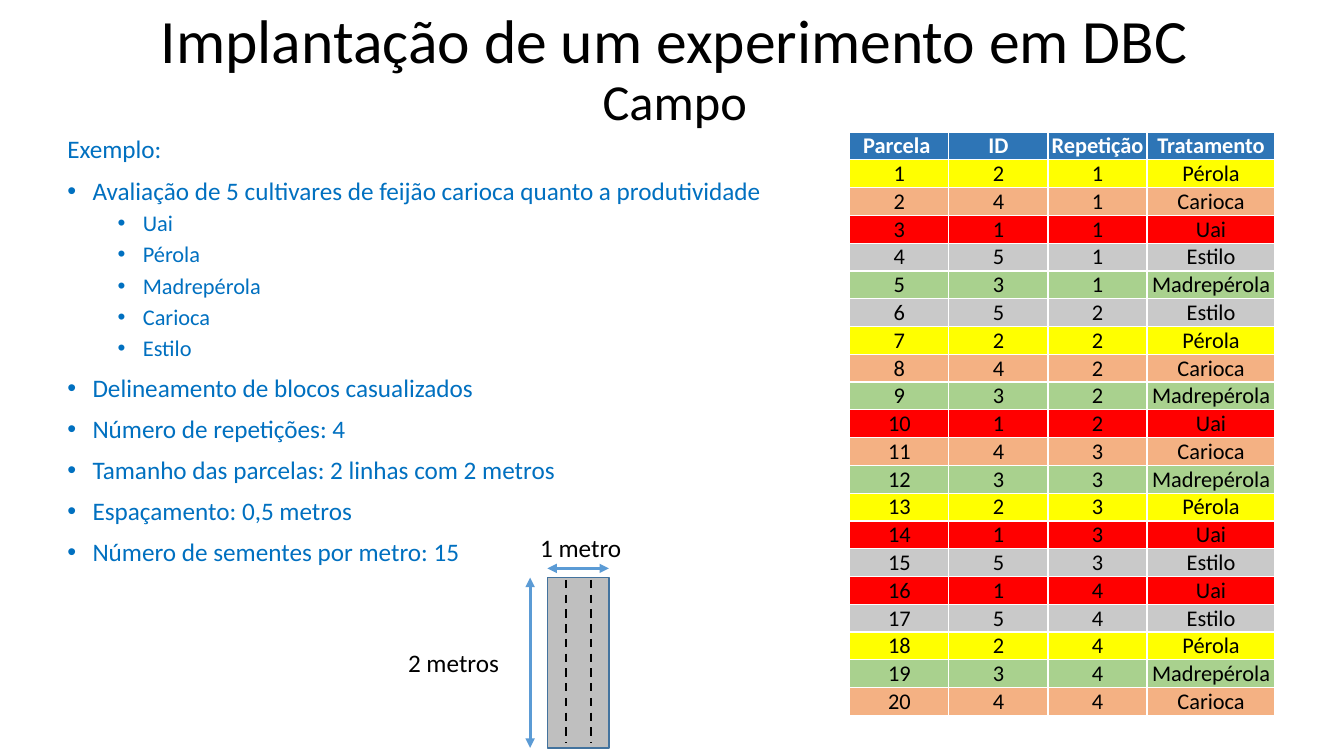
from lxml.etree import SubElement
from pptx import Presentation
from pptx.dml.color import RGBColor
from pptx.enum.dml import MSO_LINE
from pptx.enum.shapes import MSO_CONNECTOR, MSO_SHAPE
from pptx.enum.text import MSO_ANCHOR, MSO_AUTO_SIZE, PP_ALIGN
from pptx.oxml.ns import qn
from pptx.util import Pt

FONT = "Calibri"
COLORS = {
    "text": "000000", "body": "0070C0", "header": "2E75B6", "white": "FFFFFF",
    "plot": "BFBFBF", "plot_line": "43739E", "arrow": "5B9BD5",
}
CULTIVARS = {
    "Uai": "FF0000", "Pérola": "FFFF00", "Madrepérola": "A9D18E",
    "Carioca": "F4B183", "Estilo": "C9C9C9",
}
# Cultivar IDs in field order, one list for each block
BLOCKS = [[2, 4, 1, 5, 3], [5, 2, 4, 3, 1], [4, 3, 2, 1, 5], [1, 5, 2, 3, 4]]
HEADERS = ["Parcela ", "ID", "Repetição", "Tratamento"]
COLUMN_WIDTHS = [70.8, 70.8, 70.8, 91.4]
ROW_HEIGHT = 19.85

# Text and level; None means no bullet
BODY = [
    ("Exemplo:", None),
    ("Avaliação de 5 cultivares de feijão carioca quanto a produtividade", 0),
    *((name, 1) for name in CULTIVARS),
    ("Delineamento de blocos casualizados", 0),
    ("Número de repetições: 4", 0),
    ("Tamanho das parcelas: 2 linhas com 2 metros", 0),
    ("Espaçamento: 0,5 metros", 0),
    ("Número de sementes por metro: 15", 0),
]

PLOT_X, PLOT_Y, PLOT_W, PLOT_H = 391, 412.6, 44, 121.6


def rgb(value):
    return RGBColor.from_string(value)


def set_attrs(obj, **values):
    for name, value in values.items():
        setattr(obj, name, value)


def add_run(p, text, size, color, bold=False):
    r = p.add_run()
    r.text = text
    set_attrs(r.font, name=FONT, size=Pt(size), bold=bold)
    r.font.color.rgb = rgb(color)


def add_title(slide):
    sp = slide.shapes.title
    set_attrs(sp, left=Pt(68), top=Pt(-1.4), width=Pt(828), height=Pt(104.4))
    tf = sp.text_frame
    set_attrs(tf, word_wrap=True, auto_size=MSO_AUTO_SIZE.NONE,
              vertical_anchor=MSO_ANCHOR.MIDDLE)
    p = tf.paragraphs[0]
    set_attrs(p, alignment=PP_ALIGN.CENTER, line_spacing=0.9)
    add_run(p, "Implantação de um experimento em DBC", 44, COLORS["text"])
    p.add_line_break()
    add_run(p, "Campo", 36, COLORS["text"])


def add_bullet(p, level):
    p.level = level
    pPr = p._p.get_or_add_pPr()
    pPr.set("marL", str(Pt(18 + 36 * level)))
    pPr.set("indent", str(Pt(-18)))
    SubElement(pPr, qn("a:buFont"), typeface="Arial")
    SubElement(pPr, qn("a:buChar"), char="•")


def add_body(slide):
    tf = slide.shapes.add_textbox(Pt(41), Pt(94.3), Pt(519), Pt(445.7)).text_frame
    tf.word_wrap = True
    for i, (text, level) in enumerate(BODY):
        p = tf.paragraphs[0] if i == 0 else tf.add_paragraph()
        set_attrs(p, alignment=PP_ALIGN.JUSTIFY, line_spacing=0.9)
        if i:
            p.space_before = Pt(5 if level else 10)
        if level is not None:
            add_bullet(p, level)
        add_run(p, text, 16 if level else 18, COLORS["body"])


def add_label(slide, text, x, y, w):
    tf = slide.shapes.add_textbox(Pt(x), Pt(y), Pt(w), Pt(29)).text_frame
    set_attrs(tf, word_wrap=False, auto_size=MSO_AUTO_SIZE.SHAPE_TO_FIT_TEXT)
    add_run(tf.paragraphs[0], text, 18, COLORS["text"])


def add_line(slide, x1, y1, x2, y2, color, width):
    line = slide.shapes.add_connector(
        MSO_CONNECTOR.STRAIGHT, Pt(x1), Pt(y1), Pt(x2), Pt(y2))
    line.line.color.rgb = rgb(color)
    line.line.width = Pt(width)
    SubElement(line._element.spPr, qn("a:effectLst"))
    return line


def add_double_arrow(slide, x1, y1, x2, y2):
    line = add_line(slide, x1, y1, x2, y2, COLORS["arrow"], 2.25)
    ln = line.line._get_or_add_ln()
    for end in ("a:headEnd", "a:tailEnd"):
        SubElement(ln, qn(end), type="triangle")


def add_plot(slide):
    """Draw one field plot with its two rows and its dimensions."""
    sp = slide.shapes.add_shape(
        MSO_SHAPE.RECTANGLE, Pt(PLOT_X), Pt(PLOT_Y), Pt(PLOT_W), Pt(PLOT_H))
    sp.shadow.inherit = False
    sp.fill.solid()
    sp.fill.fore_color.rgb = rgb(COLORS["plot"])
    sp.line.color.rgb = rgb(COLORS["plot_line"])
    sp.line.width = Pt(1)
    for x in (404, 422):
        row = add_line(slide, x, 414.3, x, 530.3, COLORS["text"], 1.5)
        row.line.dash_style = MSO_LINE.DASH
    add_double_arrow(slide, 378.7, PLOT_Y, 378.7, PLOT_Y + PLOT_H)
    add_double_arrow(slide, PLOT_X, 406, PLOT_X + PLOT_W, 406)
    add_label(slide, "2 metros", 284.4, 458.6, 80)
    add_label(slide, "1 metro", 378.7, 376.6, 73.4)


def add_borders(cell):
    tcPr = cell._tc.get_or_add_tcPr()
    for side in ("a:lnL", "a:lnR", "a:lnT", "a:lnB"):
        ln = SubElement(tcPr, qn(side), w=str(Pt(1)))
        fill = SubElement(ln, qn("a:solidFill"))
        SubElement(fill, qn("a:srgbClr"), val=COLORS["white"])


def fill_cell(cell, text, fill, color, bold):
    set_attrs(cell, margin_left=0, margin_right=0, margin_top=0, margin_bottom=0,
              vertical_anchor=MSO_ANCHOR.BOTTOM)
    add_borders(cell)
    cell.fill.solid()
    cell.fill.fore_color.rgb = rgb(fill)
    p = cell.text_frame.paragraphs[0]
    p.alignment = PP_ALIGN.CENTER
    add_run(p, text, 16, color, bold)


def field_rows():
    """Return the fill and the texts of each plot, numbered along the blocks."""
    names = list(CULTIVARS)
    plots = [(block, number) for block, numbers in enumerate(BLOCKS, 1)
             for number in numbers]
    return [(CULTIVARS[names[number - 1]], [plot, number, block, names[number - 1]])
            for plot, (block, number) in enumerate(plots, 1)]


def add_field_table(slide):
    rows = [(COLORS["header"], HEADERS), *field_rows()]
    table = slide.shapes.add_table(
        len(rows), len(HEADERS), Pt(607), Pt(94.3),
        Pt(sum(COLUMN_WIDTHS)), Pt(ROW_HEIGHT * len(rows))).table
    table.horz_banding = False
    for column, width in zip(table.columns, COLUMN_WIDTHS):
        column.width = Pt(width)
    for i, (fill, texts) in enumerate(rows):
        table.rows[i].height = Pt(ROW_HEIGHT)
        color = COLORS["text" if i else "white"]
        for j, text in enumerate(texts):
            fill_cell(table.cell(i, j), str(text), fill, color, i == 0)


def main():
    prs = Presentation()
    set_attrs(prs, slide_width=Pt(960), slide_height=Pt(540))
    slide = prs.slides.add_slide(prs.slide_layouts[5])
    add_title(slide)
    add_body(slide)
    add_plot(slide)
    add_field_table(slide)
    prs.save("out.pptx")


if __name__ == "__main__":
    main()
